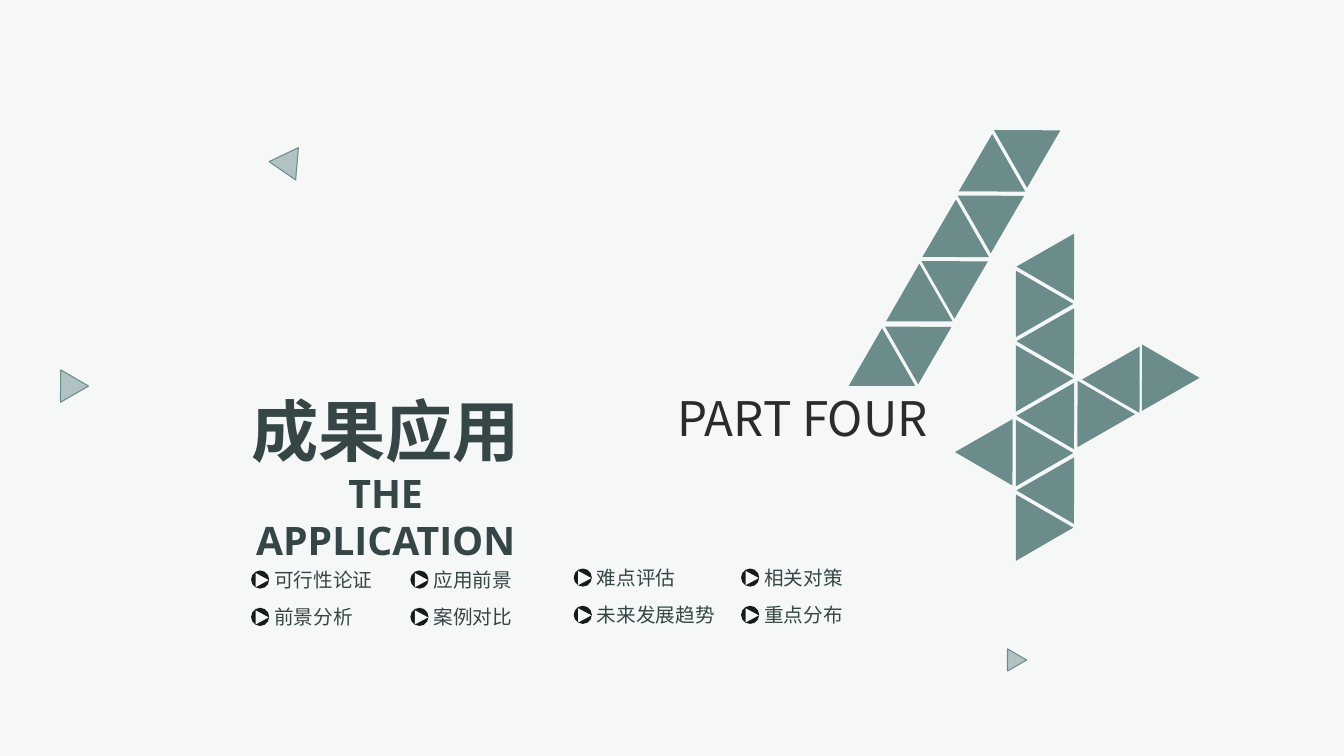
import dataclasses

import pptx
import pptx.dml.color
import pptx.enum.shapes
import pptx.enum.text
import pptx.oxml.ns
import pptx.util
from lxml import etree

Inches = pptx.util.Inches
SHAPE = pptx.enum.shapes.MSO_SHAPE
ALIGN = pptx.enum.text.PP_ALIGN
ANCHOR = pptx.enum.text.MSO_ANCHOR


@dataclasses.dataclass(frozen=True)
class Theme:
    paper: str = "F6F8F8"
    teal: str = "6C8B8B"
    pale: str = "B1C2C2"
    ink: str = "364545"
    black: str = "2B2B2B"
    icon: str = "161C1C"
    cjk: str = "Noto Sans CJK SC"
    latin: str = "Open Sans"
    title_size: int = 48
    label_size: int = 34
    subtitle_size: int = 28
    topic_size: int = 14


THEME = Theme()


def rgb(color):
    return pptx.dml.color.RGBColor.from_string(color)


def add_shape(shapes, kind, x, y, w, h, fill, line=None, rotation=0):
    sp = shapes.add_shape(kind, Inches(x), Inches(y), Inches(w), Inches(h))
    sp.shadow.inherit = False
    sp.rotation = rotation
    sp.fill.solid()
    sp.fill.fore_color.rgb = rgb(fill)
    if line:
        sp.line.color.rgb = rgb(line)
        sp.line.width = pptx.util.Pt(0.75)
    else:
        sp.line.fill.background()
    return sp


def write(p, text, size, color, font=THEME.cjk, bold=False, align=ALIGN.LEFT, spacing=None):
    p.alignment = align
    if spacing:
        p.line_spacing = spacing
    r = p.add_run()
    r.text = text
    r.font.size = pptx.util.Pt(size)
    r.font.bold = bold
    r.font.color.rgb = rgb(color)
    r.font.name = font
    ea = etree.SubElement(r.font._element, pptx.oxml.ns.qn("a:ea"))
    ea.set("typeface", font)


def add_numeral(slide, x, y):
    """Figure 4 built from rows of equal triangles; x, y is its top left."""
    shapes = slide.shapes.add_group_shape().shapes
    # Each row: first x, first y, step x, step y, count, rotation
    rows = [
        # Slanted stroke
        (1.46, 0, -0.36, 0.65, 4, 60.2),
        (1.03, 0.18, -0.36, 0.65, 2, 0.2),
        (0.39, 1.61, -0.37, 0.64, 2, 120),
        # Upright stroke
        (1.7, 1.13, 0, 0.74, 4, 30.2),
        (1.55, 1.58, 0, 0.74, 4, 90),
        # Crossbar
        (2.35, 2.25, -1.26, 0.72, 2, 30.2),
        (2.66, 2.23, -0.64, 0.36, 2, 330.2),
    ]
    for left, top, dx, dy, count, rotation in rows:
        for i in range(count):
            add_shape(shapes, SHAPE.ISOSCELES_TRIANGLE, x + left + i * dx, y + top + i * dy,
                      0.66, 0.57, THEME.teal, rotation=rotation)


def add_section_label(slide, x, y, w, h):
    sp = add_shape(slide.shapes, SHAPE.RECTANGLE, x, y, w, h, THEME.paper)
    tf = sp.text_frame
    tf.word_wrap = True
    tf.vertical_anchor = ANCHOR.MIDDLE
    write(tf.paragraphs[0], "PART FOUR", THEME.label_size, THEME.black,
          align=ALIGN.CENTER, spacing=0.9)


def add_loose_triangles(slide):
    for x, y, w, h, rotation in [(2.72, 1.44, 0.32, 0.28, 34.7),
                                 (0.51, 3.73, 0.32, 0.28, 210.2),
                                 (9.93, 6.48, 0.22, 0.19, 210.2)]:
        sp = add_shape(slide.shapes, SHAPE.ISOSCELES_TRIANGLE, x, y, w, h,
                       THEME.pale, line=THEME.teal, rotation=rotation)
        # Mirror top to bottom
        sp._element.spPr.get_or_add_xfrm().set("flipV", "1")
        sp.rotation = (rotation + 180) % 360


def add_title(slide, x, y, w, h):
    tf = slide.shapes.add_textbox(Inches(x), Inches(y), Inches(w), Inches(h)).text_frame
    tf.word_wrap = True
    write(tf.paragraphs[0], "成果应用", THEME.title_size, THEME.ink,
          bold=True, align=ALIGN.CENTER)
    write(tf.add_paragraph(), "THE APPLICATION", THEME.subtitle_size, THEME.ink,
          font=THEME.latin, bold=True, align=ALIGN.CENTER)


def add_topic(slide, text, x, y):
    """Play icon followed by a label; x, y is the icon's top left."""
    shapes = slide.shapes.add_group_shape().shapes
    box = shapes.add_textbox(Inches(x + 0.23), Inches(y - 0.03), Inches(1.34), Inches(0.24))
    tf = box.text_frame
    tf.word_wrap = True
    tf.vertical_anchor = ANCHOR.MIDDLE
    tf.margin_left = tf.margin_right = tf.margin_top = tf.margin_bottom = 0
    write(tf.paragraphs[0], text, THEME.topic_size, THEME.ink)
    add_shape(shapes, SHAPE.OVAL, x, y, 0.18, 0.18, THEME.icon)
    add_shape(shapes, SHAPE.ISOSCELES_TRIANGLE, x + 0.04, y + 0.03, 0.14, 0.13,
              THEME.paper, rotation=90)


def add_topics(slide, x, y):
    columns = [
        (0, 0.02, ["可行性论证", "前景分析"]),
        (1.58, 0.02, ["应用前景", "案例对比"]),
        (3.2, 0, ["难点评估", "未来发展趋势"]),
        (4.86, 0, ["相关对策", "重点分布"]),
    ]
    for left, top, topics in columns:
        for i, topic in enumerate(topics):
            add_topic(slide, topic, x + left, y + top + i * 0.37)


def main():
    prs = pptx.Presentation()
    prs.slide_width = Inches(13.33)
    prs.slide_height = Inches(7.5)
    slide = prs.slides.add_slide(prs.slide_layouts[6])
    slide.background.fill.solid()
    slide.background.fill.fore_color.rgb = rgb(THEME.paper)

    add_numeral(slide, 8.48, 1.15)
    add_section_label(slide, 6.49, 3.87, 2.94, 0.62)
    add_loose_triangles(slide)
    add_title(slide, 2.15, 3.81, 3.35, 1.38)
    add_topics(slide, 2.49, 5.64)
    prs.save("out.pptx")


if __name__ == "__main__":
    main()
